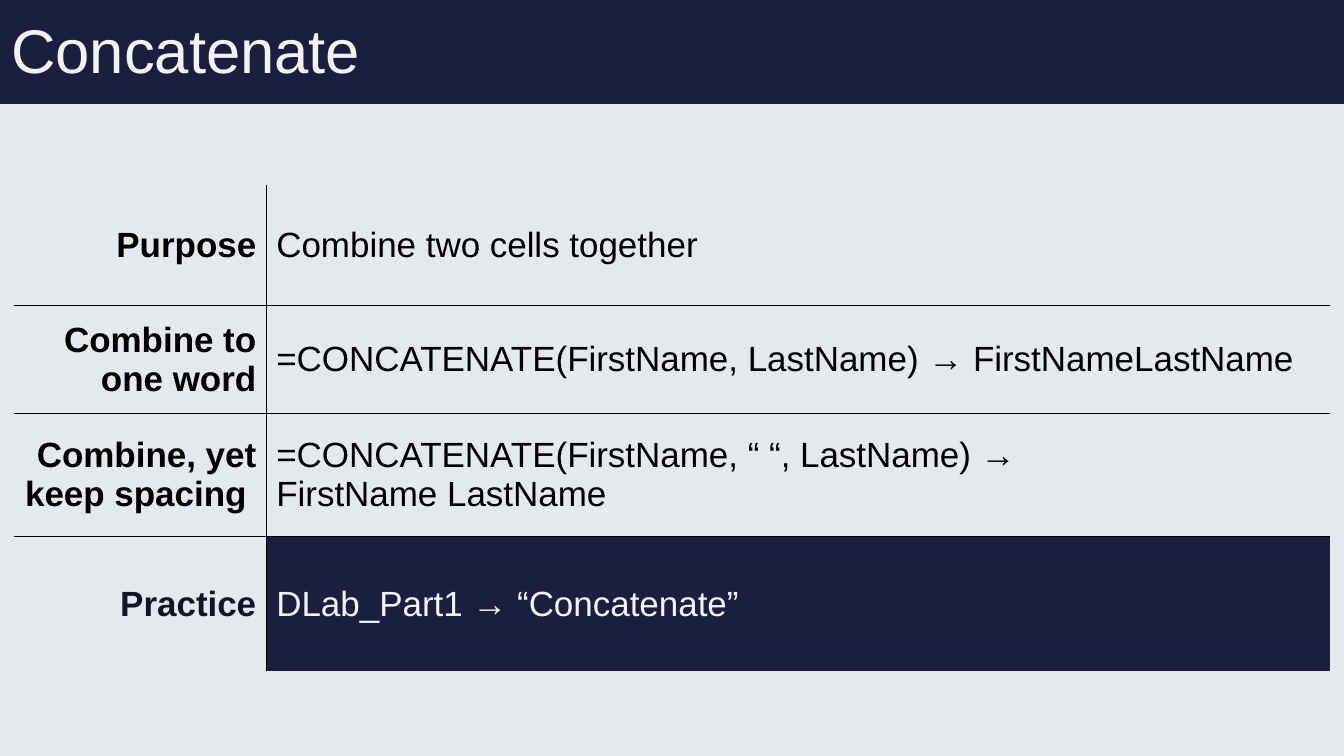
from dataclasses import dataclass

from lxml.etree import SubElement
from pptx import Presentation
from pptx.dml.color import RGBColor
from pptx.enum.shapes import MSO_SHAPE
from pptx.enum.text import MSO_ANCHOR, PP_ALIGN
from pptx.oxml.ns import qn
from pptx.util import Cm, Pt


@dataclass(frozen=True)
class Theme:
    font: str = "Arial"
    navy: str = "1B1E3E"
    dark_navy: str = "121429"
    mist: str = "E5E9EE"
    light: str = "F2F2F2"
    black: str = "000000"
    title_size: int = 44
    body_size: int = 25
    rule_width: int = 1


THEME = Theme()
SLIDE_WIDTH, SLIDE_HEIGHT = 33.87, 19.05
PLAIN_TABLE_STYLE = "{2D5ABB26-0587-4C30-8999-92F81FD0307C}"
COLUMN_WIDTHS = (6.35, 26.8)
ROW_HEIGHTS = (3.05, 2.72, 3.1, 3.4)

# Each row: label, then the lines of its explanation
GUIDE = (
    ("Purpose", ["Combine two cells together"]),
    ("Combine to one word",
     ["=CONCATENATE(FirstName, LastName) → FirstNameLastName"]),
    ("Combine, yet keep spacing ",
     ["=CONCATENATE(FirstName, “ “, LastName) →", "FirstName LastName"]),
    ("Practice", ["DLab_Part1 → “Concatenate”"]),
)


def add_band(slide, top, height, color):
    band = slide.shapes.add_shape(
        MSO_SHAPE.RECTANGLE, Cm(0), Cm(top), Cm(SLIDE_WIDTH), Cm(height))
    band.shadow.inherit = False
    band.fill.solid()
    band.fill.fore_color.rgb = RGBColor.from_string(color)
    band.line.fill.background()


def add_run(paragraph, text, size, color, bold=False):
    run = paragraph.add_run()
    run.text = text
    run.font.name = THEME.font
    run.font.size = Pt(size)
    run.font.bold = bold
    run.font.color.rgb = RGBColor.from_string(color)


def add_title(slide, text):
    title = slide.shapes.add_textbox(Cm(0.03), Cm(-0.48), Cm(29.21), Cm(3.68))
    frame = title.text_frame
    frame.word_wrap = True
    frame.vertical_anchor = MSO_ANCHOR.MIDDLE
    paragraph = frame.paragraphs[0]
    paragraph.line_spacing = 0.9
    add_run(paragraph, text, THEME.title_size, THEME.light)


def fill_cell(cell, lines, color, bold=False, align=PP_ALIGN.LEFT):
    cell.vertical_anchor = MSO_ANCHOR.MIDDLE
    paragraph = cell.text_frame.paragraphs[0]
    paragraph.alignment = align
    for number, line in enumerate(lines):
        if number:
            paragraph.add_line_break()
        add_run(paragraph, line, THEME.body_size, color, bold)


def rule_cell(cell, sides):
    """Draw the borders named in sides; they must follow the order L, R, T, B."""
    properties = cell._tc.get_or_add_tcPr()
    for side in sides:
        border = SubElement(properties, qn(f"a:ln{side}"),
                            w=str(Pt(THEME.rule_width)))
        fill = SubElement(border, qn("a:solidFill"))
        SubElement(fill, qn("a:srgbClr"), val=THEME.black)


def add_guide(slide, guide):
    table = slide.shapes.add_table(
        len(guide), len(COLUMN_WIDTHS), Cm(0.36), Cm(4.65),
        Cm(sum(COLUMN_WIDTHS)), Cm(sum(ROW_HEIGHTS))).table
    table.first_row = table.horz_banding = False
    table._tbl.tblPr.find(qn("a:tableStyleId")).text = PLAIN_TABLE_STYLE
    for column, width in zip(table.columns, COLUMN_WIDTHS):
        column.width = Cm(width)

    last = len(guide) - 1
    for index, (label, explanation) in enumerate(guide):
        table.rows[index].height = Cm(ROW_HEIGHTS[index])
        label_cell, explanation_cell = table.cell(index, 0), table.cell(index, 1)
        practice = index == last
        fill_cell(label_cell, [label],
                  THEME.dark_navy if practice else THEME.black,
                  bold=True, align=PP_ALIGN.RIGHT)
        fill_cell(explanation_cell, explanation,
                  THEME.light if practice else THEME.black)

        # Only inner rules: none around the outside of the table
        across = ("T" if index else "") + ("" if practice else "B")
        rule_cell(label_cell, "R" + across)
        rule_cell(explanation_cell, "L" + across)
        label_cell.fill.background()
        if practice:
            explanation_cell.fill.solid()
            explanation_cell.fill.fore_color.rgb = RGBColor.from_string(THEME.navy)
        else:
            explanation_cell.fill.background()


def main():
    deck = Presentation()
    deck.slide_width, deck.slide_height = Cm(SLIDE_WIDTH), Cm(SLIDE_HEIGHT)
    slide = deck.slides.add_slide(deck.slide_layouts[6])

    # Backdrop and header
    add_band(slide, 0.56, SLIDE_HEIGHT - 0.56, THEME.mist)
    add_band(slide, 0, 2.62, THEME.navy)
    add_title(slide, "Concatenate")

    # Function guide
    add_guide(slide, GUIDE)
    deck.save("out.pptx")


if __name__ == "__main__":
    main()
